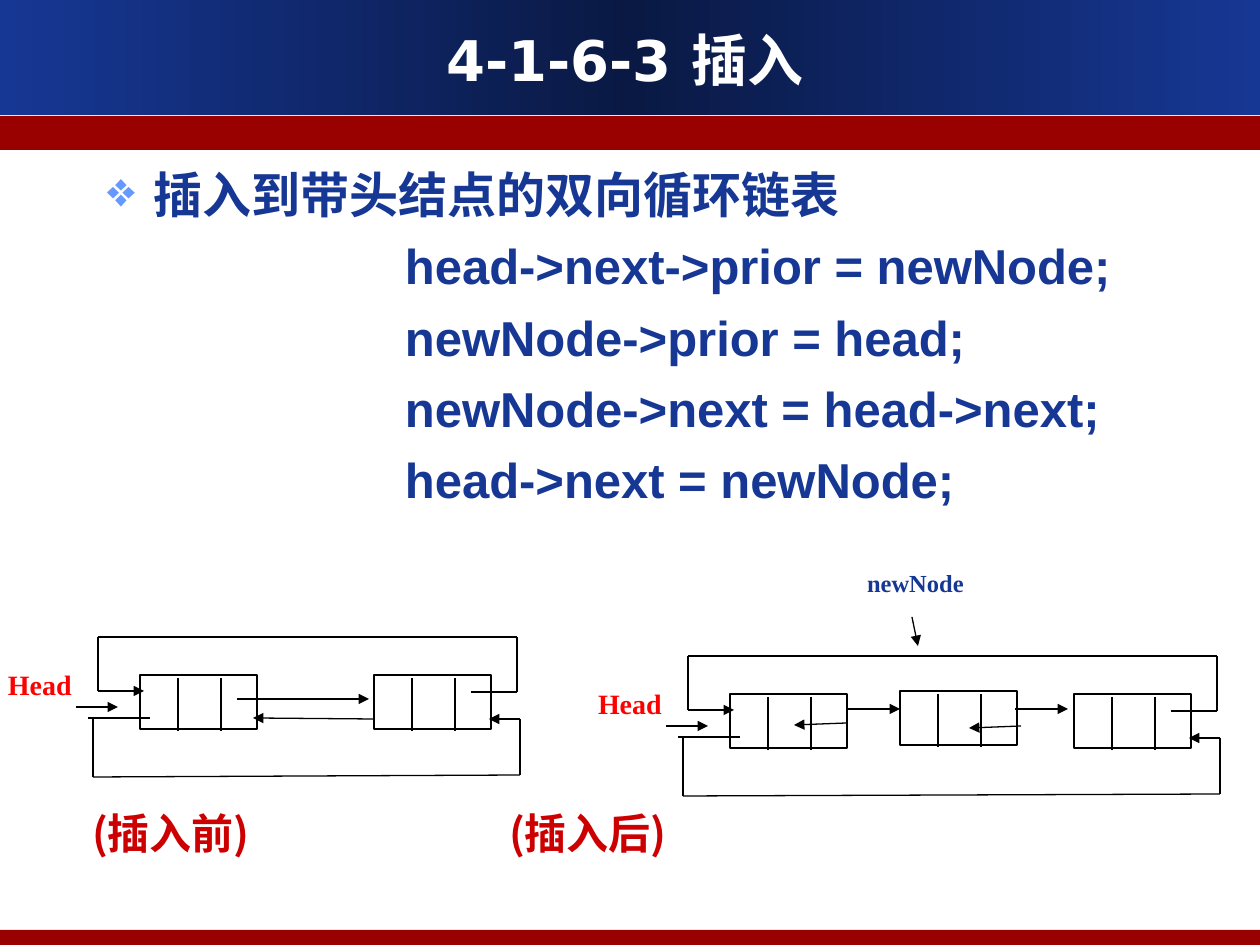
import copy

import pptx
import pptx.dml.color
import pptx.enum.shapes
import pptx.enum.text
import pptx.oxml.ns
import pptx.oxml.xmlchemy
import pptx.util
from lxml import etree

PX_PER_INCH = 126
NAVY, DARK_NAVY, MAROON = "163794", "0A1944", "990000"
RED, CRIMSON, WHITE, BLACK = "FF0000", "CC0000", "FFFFFF", "000000"
SERIF, SANS, CHINESE = "Times New Roman", "Arial", "Noto Sans CJK SC"
NODE_WIDTH, NODE_HEIGHT = 117, 54
ALIGN = pptx.enum.text.PP_ALIGN
ANCHOR = pptx.enum.text.MSO_ANCHOR
RECTANGLE = pptx.enum.shapes.MSO_SHAPE.RECTANGLE
CODE = (
    "head->next->prior = newNode;",
    "newNode->prior = head;",
    "newNode->next = head->next;",
    "head->next = newNode;",
)


def emu(px):
    return round(px * 914400 / PX_PER_INCH)


def colour(hex_string):
    return pptx.dml.color.RGBColor.from_string(hex_string)


def add_xml(parent, tag, **attributes):
    element = etree.SubElement(parent, pptx.oxml.ns.qn(tag))
    for name, value in attributes.items():
        element.set(name, str(value))
    return element


def add_rectangle(page, left, top, width, height, fill=WHITE, line=None):
    box = page.shapes.add_shape(
        RECTANGLE, emu(left), emu(top), emu(width), emu(height))
    box.shadow.inherit = False
    box.fill.solid()
    box.fill.fore_color.rgb = colour(fill)
    if line:
        box.line.color.rgb = colour(line)
        box.line.width = pptx.util.Pt(0.75)
    else:
        box.line.fill.background()
    return box


def add_line(page, start, end, arrow=False):
    line = page.shapes.add_connector(
        pptx.enum.shapes.MSO_CONNECTOR.STRAIGHT, *map(emu, start + end))
    line.line.color.rgb = colour(BLACK)
    line.line.width = pptx.util.Pt(0.75)
    if arrow:
        add_xml(line.line._get_or_add_ln(), "a:tailEnd", type="triangle")
    add_xml(line._element.spPr, "a:effectLst")


def add_text_box(page, left, top, width, height, inset=(0, 0)):
    box = page.shapes.add_textbox(
        emu(left), emu(top), emu(width), emu(height))
    frame = box.text_frame
    frame.word_wrap = True
    frame.margin_left = frame.margin_right = emu(inset[0])
    frame.margin_top = frame.margin_bottom = emu(inset[1])
    return box


def write(para, text, size, font, ink, align=ALIGN.LEFT):
    para.alignment = align
    span = para.add_run()
    span.text = text
    span.font.size = pptx.util.Pt(size)
    span.font.bold = True
    span.font.color.rgb = colour(ink)
    span.font.name = font
    add_xml(span._r.get_or_add_rPr(), "a:ea", typeface=CHINESE)


def add_label(page, left, top, width, height, text, size, ink):
    """Add white-backed serif text that starts at the top left."""
    frame = add_rectangle(page, left, top, width, height).text_frame
    frame.margin_left = frame.margin_right = 0
    frame.margin_top = frame.margin_bottom = 0
    frame.vertical_anchor = ANCHOR.TOP
    write(frame.paragraphs[0], text, size, SERIF, ink)


def add_bands(page):
    header = add_rectangle(page, 0, 0, 1260, 115)
    header.fill.gradient()
    header.fill.gradient_angle = 0
    first, last = header.fill.gradient_stops
    first.color.rgb = last.color.rgb = colour(NAVY)
    first.position, last.position = 0, 1
    stops = header._element.spPr.find(".//" + pptx.oxml.ns.qn("a:gsLst"))
    stops.insert(1, copy.deepcopy(stops[0]))
    middle = header.fill.gradient_stops[1]
    middle.color.rgb = colour(DARK_NAVY)
    middle.position = 0.5
    add_rectangle(page, 0, 116, 1260, 34, MAROON)
    add_rectangle(page, 0, 930, 1260, 15, MAROON)


def add_title(page):
    frame = add_text_box(page, 42, 20, 1166, 79, (13, 6)).text_frame
    frame.vertical_anchor = ANCHOR.MIDDLE
    write(frame.paragraphs[0], "4-1-6-3 插入", 32, "DejaVu Sans", WHITE,
          ALIGN.CENTER)


def add_body(page):
    frame = add_text_box(page, 94, 159, 1091, 360, (13, 6)).text_frame
    heading = frame.paragraphs[0]
    properties = heading._p.get_or_add_pPr()
    properties.set("marL", str(emu(47)))
    properties.set("indent", str(emu(-47)))
    add_xml(add_xml(properties, "a:buClr"), "a:srgbClr", val="6699FF")
    add_xml(properties, "a:buChar", char="❖")
    heading.line_spacing = pptx.util.Pt(33.6)
    write(heading, "插入到带头结点的双向循环链表", 28, SANS, NAVY)
    for statement in CODE:
        para = frame.add_paragraph()
        para._p.get_or_add_pPr().set("marL", str(emu(298)))
        para.line_spacing = pptx.util.Pt(33.6)
        para.space_before = pptx.util.Pt(7)
        write(para, statement, 28, SANS, NAVY)


def add_node(page, left, top):
    add_rectangle(page, left, top, NODE_WIDTH, NODE_HEIGHT, line=BLACK)
    for offset in (38, 81):
        add_line(page, (left + offset, top + 3), (left + offset, top + 56))


def add_ring(page, first, last, top):
    """Draw the head and end nodes with the links that close the circle."""
    add_node(page, first, top)
    add_node(page, last, top)
    add_line(page, (first - 105, top + 32), (first - 22, top + 32), arrow=True)
    add_label(page, first - 132, top - 7, 68, 54, "Head", 16, RED)

    upper_left, upper_right = first - 42, last + 143
    add_line(page, (last + 97, top + 17), (upper_right, top + 17))
    add_line(page, (upper_right, top + 17), (upper_right, top - 38))
    add_line(page, (upper_left, top - 38), (upper_right, top - 38))
    add_line(page, (upper_left, top - 38), (upper_left, top + 16))
    add_line(page, (upper_left, top + 16), (first + 4, top + 16), arrow=True)

    lower_left, lower_right = first - 47, last + 146
    add_line(page, (first - 52, top + 43), (first + 10, top + 43))
    add_line(page, (lower_left, top + 43), (lower_left, top + 102))
    add_line(page, (lower_left, top + 102), (lower_right, top + 100))
    add_line(page, (lower_right, top + 100), (lower_right, top + 44))
    add_line(page, (lower_right, top + 44), (last + 115, top + 44), arrow=True)


def add_list_before(page):
    add_ring(page, 140, 374, 675)
    add_line(page, (237, 699), (369, 699), arrow=True)
    add_line(page, (374, 719), (253, 718), arrow=True)


def add_list_after(page):
    add_label(page, 867, 568, 160, 55, "newNode", 14, NAVY)
    add_line(page, (912, 617), (918, 646), arrow=True)
    add_node(page, 900, 691)
    add_ring(page, 730, 1074, 694)
    for left in (847, 1015):
        add_line(page, (left, 709), (left + 53, 709), arrow=True)
    add_line(page, (847, 723), (794, 725), arrow=True)
    add_line(page, (1021, 726), (969, 728), arrow=True)


def add_caption(page, left, text):
    frame = add_text_box(page, left, 800, 260, 66, (0, 8)).text_frame
    write(frame.paragraphs[0], text, 24, CHINESE, CRIMSON)


def main():
    deck = pptx.Presentation()
    deck.slide_width, deck.slide_height = emu(1260), emu(945)
    page = deck.slides.add_slide(deck.slide_layouts[6])
    add_bands(page)
    add_title(page)
    add_body(page)
    add_caption(page, 92, "(插入前)")
    add_caption(page, 509, "(插入后)")
    add_list_before(page)
    add_list_after(page)
    deck.save("out.pptx")


if __name__ == "__main__":
    main()
